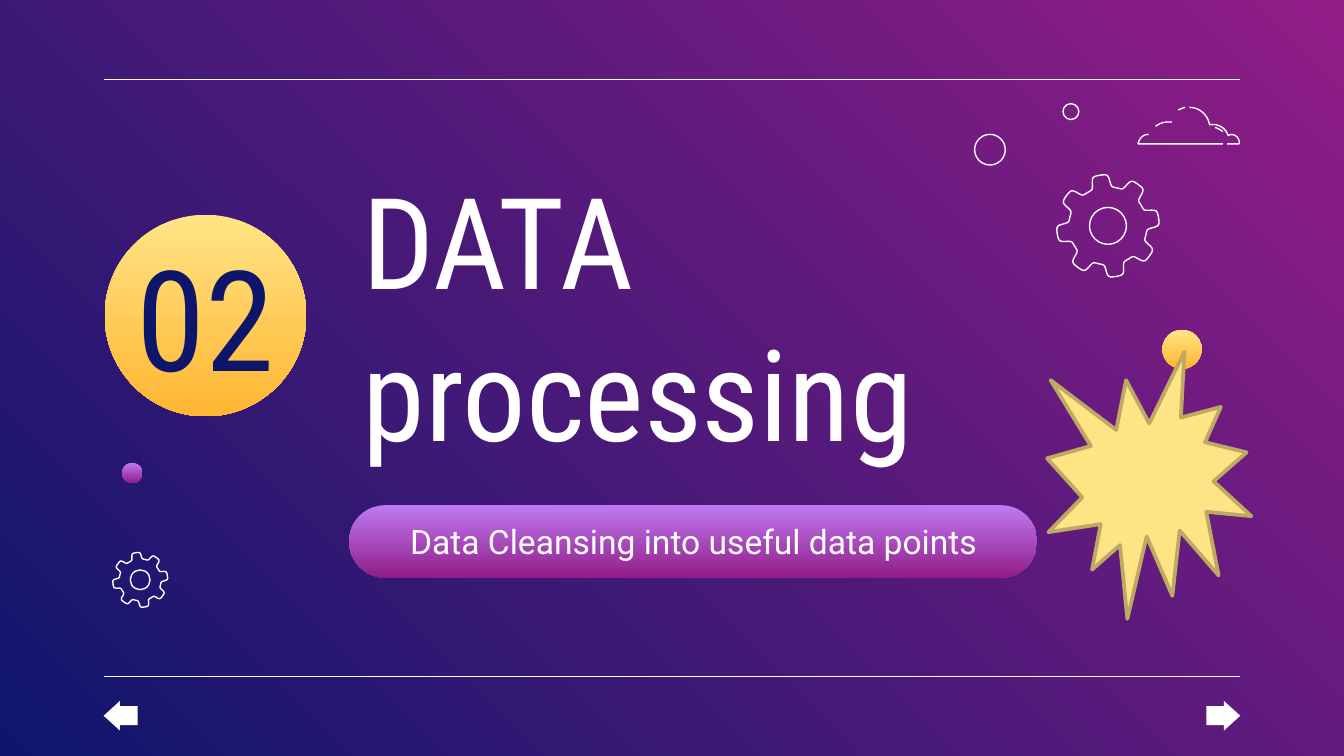
from math import cos, pi, sin, tanh

from lxml import etree
from pptx import Presentation
from pptx.dml.color import RGBColor
from pptx.enum import shapes as kinds, text as txt
from pptx.oxml.ns import qn
from pptx.util import Cm, Pt

WHITE = RGBColor(0xFF, 0xFF, 0xFF)
NAVY = RGBColor(0x0E, 0x16, 0x6C)
PLUM = RGBColor(0x92, 0x1D, 0x87)
LILAC = RGBColor(0xBE, 0x7A, 0xF3)
CREAM = RGBColor(0xFF, 0xE4, 0x85)
AMBER = RGBColor(0xFF, 0xB6, 0x32)
OCHRE = RGBColor(0xBD, 0xA9, 0x62)
GOLD, GRAPE = (CREAM, AMBER), (LILAC, PLUM)
OVAL = kinds.MSO_SHAPE.OVAL
LEFT, MID = txt.PP_ALIGN.LEFT, txt.PP_ALIGN.CENTER

# Cloud strokes in cm: each is (chain of cubic Bezier points, straight tail)
CLOUD = [
    ([(.97, 0), (1.17, 0), (1.32, .15), (1.35, .33), (1.5, .3), (1.65, .38),
      (1.7, .53), (1.8, .48), (1.93, .56), (1.91, .69)], [(1.68, .69)]),
    ([(.89, 0), (.89, 0), (.79, .03), (.76, .05)], []),
    ([(.2, .51), (.03, .51), (0, .69), (0, .69)], [(1.6, .69)]),
    ([(1.45, .38), (1.45, .38), (1.55, .41), (1.6, .46)], []),
    ([(.64, .28), (.64, .28), (.46, .25), (.33, .36)], []),
]


def blend(fill, colors, angle):
    fill.gradient()
    fill.gradient_angle = angle
    for stop, color in zip(fill.gradient_stops, colors):
        stop.color.rgb = color


def paint(shape, fill=None, line=None, width=.75):
    """Fill with one colour, a pair (top, bottom) or nothing."""
    shape.shadow.inherit = False
    if fill is None:
        shape.fill.background()
    elif isinstance(fill, RGBColor):
        shape.fill.solid()
        shape.fill.fore_color.rgb = fill
    else:
        blend(shape.fill, fill, 270)
    if line is None:
        shape.line.fill.background()
    else:
        shape.line.color.rgb = line
        shape.line.width = Pt(width)


def add(slide, kind, box, *look):
    shape = slide.shapes.add_shape(kind, *map(Cm, box))
    paint(shape, *look)
    return shape


def trace(group, points, close=False):
    """Draw a white outline through points given in cm."""
    first, *rest = [(Cm(x), Cm(y)) for x, y in points]
    pen = group.build_freeform(*first)
    pen.add_line_segments(rest, close=close)
    paint(pen.convert_to_shape(), None, WHITE)


def write(shape, box, words, size, font, color, align):
    shape.left, shape.top, shape.width, shape.height = map(Cm, box)
    frame = shape.text_frame
    frame.text = words
    frame.word_wrap = True
    frame.auto_size = txt.MSO_AUTO_SIZE.NONE
    frame.vertical_anchor = txt.MSO_ANCHOR.MIDDLE
    for side in ("left", "top", "right", "bottom"):
        setattr(frame, "margin_" + side, Cm(.25))
    para = frame.paragraphs[0]
    para.alignment = align
    face = para.runs[0].font
    face.size, face.name, face.color.rgb = Pt(size), font, color


def bezier(chain, steps=10):
    points = [chain[0]]
    for i in range(0, len(chain) - 1, 3):
        for k in range(1, steps + 1):
            t = k / steps
            s = 1 - t
            parts = (s ** 3, 3 * s * s * t, 3 * s * t * t, t ** 3)
            points.append(tuple(
                sum(w * p[axis] for w, p in zip(parts, chain[i:i + 4]))
                for axis in (0, 1)))
    return points


def cloud(slide, x, y):
    group = slide.shapes.add_group_shape().shapes
    for chain, tail in CLOUD:
        trace(group, [(x + a, y + b) for a, b in bezier(chain) + tail])


def gear(slide, x, y, size, teeth=8, steps=240):
    """Fit a toothed ring and its hole into a square box."""
    rad = size / 2
    mid = x + rad, y + rad
    ring = []
    for k in range(steps):
        turn = 2 * pi * k / steps
        reach = rad * (.88 + .12 * tanh(3 * cos(teeth * turn)))
        lean = turn - pi / 20
        ring.append((mid[0] + reach * sin(lean), mid[1] - reach * cos(lean)))
    trace(slide.shapes, ring, close=True)
    hole = .36 * rad
    add(slide, OVAL, (mid[0] - hole, mid[1] - hole, 2 * hole, 2 * hole),
        None, WHITE)


def frame(slide, x, y, w, h):
    """Rules above and below the content, with arrows under the lower one."""
    for level in (y, y + h):
        rule = slide.shapes.add_connector(
            kinds.MSO_CONNECTOR.STRAIGHT, Cm(x), Cm(level), Cm(x + w), Cm(level))
        rule.line.color.rgb = WHITE
        rule.line.width = Pt(.75)
        etree.SubElement(rule._element.spPr, qn("a:effectLst"))
    wide, high = .64, .56
    for kind, left in ((kinds.MSO_SHAPE.LEFT_ARROW, x),
                       (kinds.MSO_SHAPE.RIGHT_ARROW, x + w - wide)):
        arrow = add(slide, kind, (left, y + h + .46, wide, high), WHITE)
        arrow.adjustments[0], arrow.adjustments[1] = .64, .55


def badge(slide, x, y, size):
    add(slide, OVAL, (x, y, size, size), GOLD)
    label = slide.shapes.add_textbox(0, 0, 0, 0)
    write(label, (x, y + .84, size, 2.11), "02", 75, "Roboto Condensed",
          NAVY, MID)


def heading(slide, x, y, w, h):
    """Title with a subtitle on a pill at the foot of the box."""
    title, sub = slide.placeholders
    high = 1.37
    pill = add(slide, kinds.MSO_SHAPE.ROUNDED_RECTANGLE,
               (x, y + h - high, w, high), GRAPE)
    pill.adjustments[0] = .5
    for holder in (title, sub):
        holder.element.getparent().append(holder.element)
    write(title, (x, y, w + .79, 4.83), "DATA processing", 68,
          "Roboto Condensed", WHITE, LEFT)
    write(sub, (x + .15, y + h - 1.12, w - .28, .84),
          "Data Cleansing into useful data points", 18, "Roboto", WHITE, MID)


def decor(slide, x, y):
    """Gears, dots, cloud and burst, measured from the box corner."""
    dots = [(18.13, .04, .3, None, WHITE), (16.46, .62, .58, None, WHITE),
            (20.01, 4.31, .74, GOLD, None), (.35, 6.83, .38, GRAPE, None)]
    for left, top, size, fill, line in dots:
        add(slide, OVAL, (x + left, y + top, size, size), fill, line)
    cloud(slide, x + 19.55, y + .11)
    gear(slide, x + 18.01, y + 1.38, 1.94)
    gear(slide, x + .17, y + 8.52, 1.04)
    add(slide, kinds.MSO_SHAPE.EXPLOSION1, (x + 17.83, y + 4.73, 3.86, 5.05),
        CREAM, OCHRE, 2)


def main():
    deck = Presentation()
    deck.slide_width, deck.slide_height = Cm(25.4), Cm(14.29)
    slide = deck.slides.add_slide(deck.slide_layouts[0])
    blend(slide.background.fill, (PLUM, NAVY), 225)
    frame(slide, 1.96, 1.5, 21.48, 11.29)
    badge(slide, 1.98, 4.06, 3.81)
    heading(slide, 6.6, 3.53, 13, 7.39)
    decor(slide, 1.96, 1.92)
    deck.save("out.pptx")


if __name__ == "__main__":
    main()
